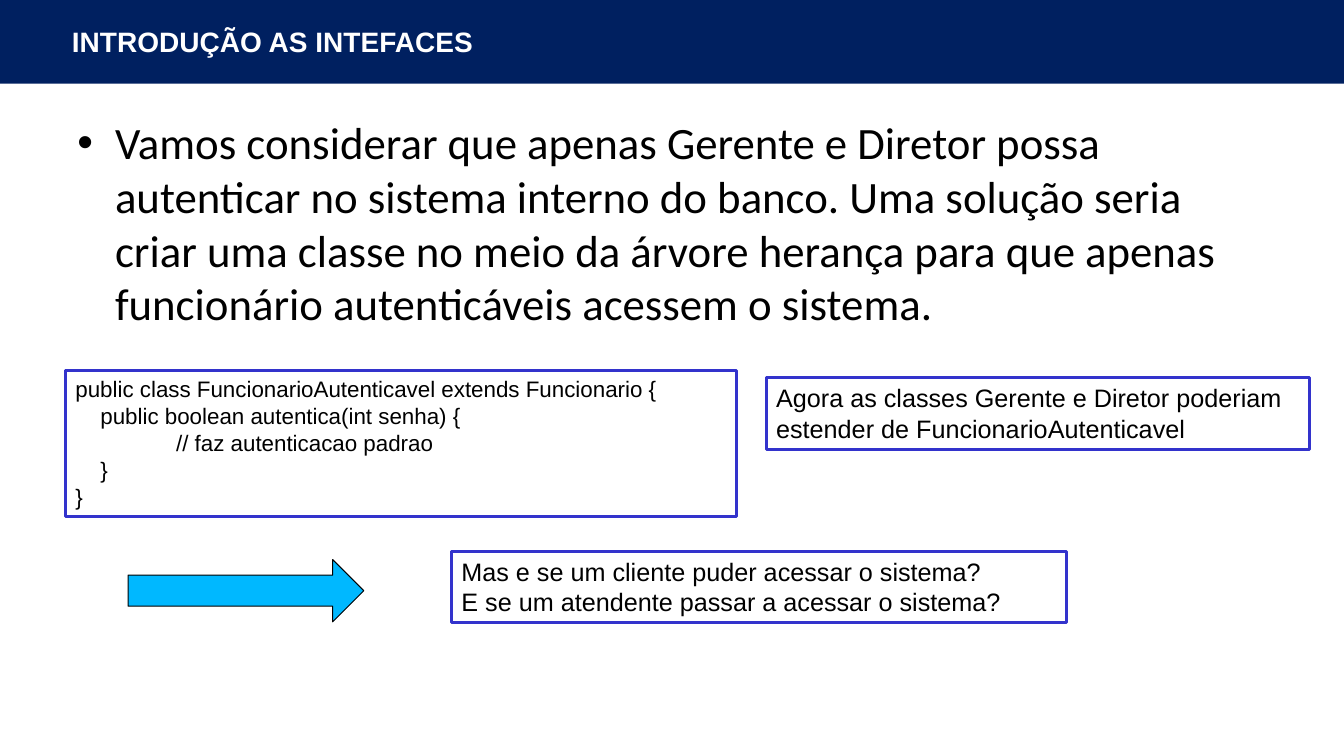
from dataclasses import dataclass

from lxml.etree import SubElement
from pptx import Presentation
from pptx.dml.color import RGBColor
from pptx.enum.shapes import MSO_SHAPE
from pptx.enum.text import MSO_ANCHOR, PP_ALIGN
from pptx.oxml.ns import qn
from pptx.util import Cm, Pt


@dataclass(frozen=True)
class Theme:
    navy: RGBColor = RGBColor(0x00, 0x20, 0x60)
    frame: RGBColor = RGBColor(0x33, 0x33, 0xCC)
    sky: RGBColor = RGBColor(0x00, 0xB8, 0xFF)
    black: RGBColor = RGBColor(0x00, 0x00, 0x00)
    white: RGBColor = RGBColor(0xFF, 0xFF, 0xFF)
    heading_font: str = "Arial"
    body_font: str = "Calibri"
    title_size: Pt = Pt(20)
    body_size: Pt = Pt(32)
    note_size: Pt = Pt(18)
    code_size: Pt = Pt(16)


THEME = Theme()


def add_span(para, text, font, size, color, bold=False):
    span = para.add_run()
    span.text = text
    span.font.name = font
    span.font.size = size
    span.font.color.rgb = color
    span.font.bold = bold


def set_indent(para, margin, first_line=0):
    properties = para._p.get_or_add_pPr()
    properties.set("marL", str(Cm(margin)))
    properties.set("indent", str(Cm(first_line)))
    return properties


def add_figure(page, kind, box, fill=None, line=None, weight=0.75):
    figure = page.shapes.add_shape(kind, *map(Cm, box))
    figure.shadow.inherit = False
    if fill is None:
        figure.fill.background()
    else:
        figure.fill.solid()
        figure.fill.fore_color.rgb = fill
    if line is None:
        figure.line.fill.background()
    else:
        figure.line.color.rgb = line
        figure.line.width = Pt(weight)
    return figure


def add_header(page, box, text):
    left, top, width, height = box
    band = add_figure(page, MSO_SHAPE.RECTANGLE, box, fill=THEME.navy)
    title = page.shapes.title
    title.element.addprevious(band.element)
    title.left, title.top = Cm(left + 1.56), Cm(top + 0.48)
    title.width, title.height = Cm(10.8), Cm(height - 0.99)
    frame = title.text_frame
    frame.word_wrap = True
    frame.vertical_anchor = MSO_ANCHOR.MIDDLE
    para = frame.paragraphs[0]
    para.alignment = PP_ALIGN.LEFT
    add_span(para, text, THEME.heading_font, THEME.title_size, THEME.white, bold=True)


def add_bullet_text(page, box, text):
    frame = page.shapes.add_textbox(*map(Cm, box)).text_frame
    frame.word_wrap = True
    para = frame.paragraphs[0]
    properties = set_indent(para, 0.95, -0.95)
    SubElement(properties, qn("a:buFont"), typeface=THEME.heading_font)
    SubElement(properties, qn("a:buChar"), char="•")
    add_span(para, text, THEME.body_font, THEME.body_size, THEME.black)


def add_framed_text(page, box, lines, size):
    panel = add_figure(page, MSO_SHAPE.RECTANGLE, box, line=THEME.frame, weight=2.25)
    frame = panel.text_frame
    frame.word_wrap = True
    frame.vertical_anchor = MSO_ANCHOR.TOP
    for number, (margin, text) in enumerate(lines):
        para = frame.add_paragraph() if number else frame.paragraphs[0]
        para.alignment = PP_ALIGN.LEFT
        set_indent(para, margin)
        add_span(para, text, THEME.heading_font, size, THEME.black)


def build_interface_slide(deck):
    page = deck.slides.add_slide(deck.slide_layouts[5])
    add_header(page, (0, 0, 33.87, 2.11), "INTRODUÇÃO AS INTEFACES")
    add_bullet_text(
        page,
        (1.7, 2.77, 30.48, 6),
        "Vamos considerar que apenas Gerente e Diretor possa autenticar no sistema "
        "interno do banco. Uma solução seria criar uma classe no meio da árvore "
        "herança para que apenas funcionário autenticáveis acessem o sistema.",
    )
    code = [
        (0, "public class FuncionarioAutenticavel extends Funcionario {"),
        (0.63, "public boolean autentica(int senha) {"),
        (2.54, "// faz autenticacao padrao"),
        (0.63, "}"),
        (0, "}"),
    ]
    add_framed_text(page, (1.65, 9.33, 16.92, 3.68), code, THEME.code_size)
    conclusion = [
        (0, "Agora as classes Gerente e Diretor poderiam estender de FuncionarioAutenticavel")
    ]
    add_framed_text(page, (19.31, 9.52, 13.7, 1.8), conclusion, THEME.note_size)
    questions = [
        (0, "Mas e se um cliente puder acessar o sistema?"),
        (0, "E se um atendente passar a acessar o sistema?"),
    ]
    add_framed_text(page, (11.38, 13.89, 15.49, 1.8), questions, THEME.note_size)
    add_figure(page, MSO_SHAPE.RIGHT_ARROW, (3.23, 14.1, 5.94, 1.57), THEME.sky, THEME.black)


def main():
    deck = Presentation()
    deck.slide_width, deck.slide_height = Cm(33.87), Cm(19.05)
    build_interface_slide(deck)
    deck.save("out.pptx")


if __name__ == "__main__":
    main()
